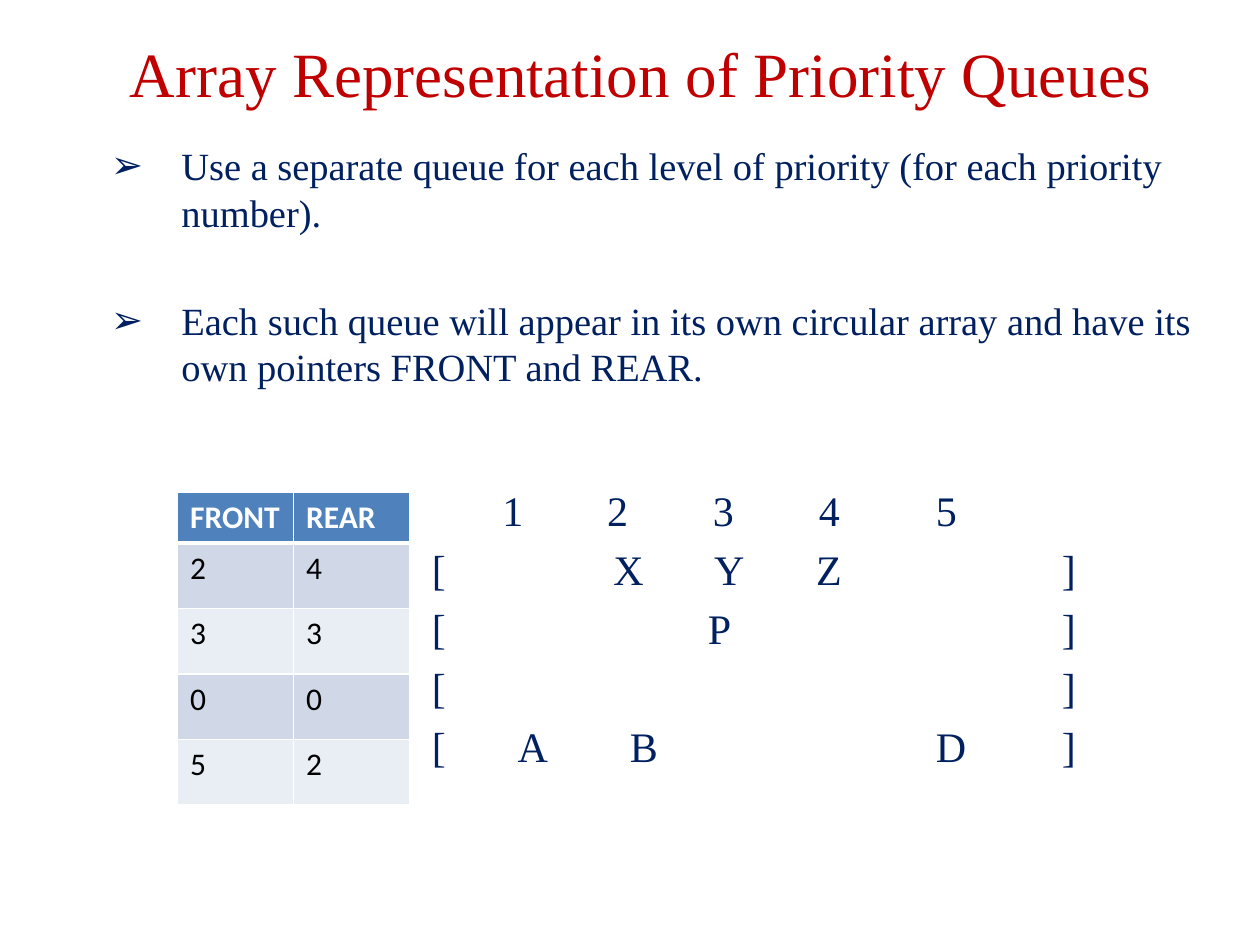
"""Build a slide on the array representation of priority queues."""
from lxml import etree
from pptx import Presentation
from pptx.dml.color import RGBColor
from pptx.enum.text import MSO_ANCHOR, MSO_AUTO_SIZE, PP_ALIGN
from pptx.oxml.ns import qn
from pptx.util import Inches, Pt

CENTER = PP_ALIGN.CENTER
MIDDLE = MSO_ANCHOR.MIDDLE
NO_AUTOFIT = MSO_AUTO_SIZE.NONE
RED = RGBColor(0xC0, 0x00, 0x00)
NAVY = RGBColor(0x00, 0x20, 0x60)
BLUE = RGBColor(0x4F, 0x81, 0xBD)
BAND_DARK = RGBColor(0xD0, 0xD8, 0xE8)
BAND_LIGHT = RGBColor(0xE9, 0xED, 0xF4)
WHITE = RGBColor(0xFF, 0xFF, 0xFF)
BLACK = RGBColor(0x00, 0x00, 0x00)
SERIF = "Times New Roman"

BULLETS = [
    "Use a separate queue for each level of priority (for each priority number).",
    "Each such queue will appear in its own circular array and have its own pointers FRONT and REAR.",
]
ARRAY_ROWS = [
    ("\t1\t2\t3\t4\t5", [0.56, 1.39, 2.23, 3.07, 4]),
    ("[\tX\tY\tZ\t]", [1.44, 2.24, 3.05, 5]),
    ("[\tP\t]", [2.19, 5]),
    ("[\t]", [5]),
    ("[\tA\tB\tD\t]", [0.68, 1.57, 4, 5]),
]
POINTERS = [("FRONT", "REAR"), ("2", "4"), ("3", "3"), ("0", "0"), ("5", "2")]


def place(shape, left, top, width, height):
    """Move and size a shape, in inches."""
    shape.left, shape.top = Inches(left), Inches(top)
    shape.width, shape.height = Inches(width), Inches(height)


def format_paragraph(paragraph, size, line_spacing, space_before):
    """Apply the body text font and spacing."""
    paragraph.line_spacing = Pt(line_spacing)
    paragraph.space_before = Pt(space_before)
    paragraph.font.name = SERIF
    paragraph.font.size = Pt(size)
    paragraph.font.color.rgb = NAVY


presentation = Presentation()
presentation.slide_width = Inches(10)
presentation.slide_height = Inches(7.5)
slide = presentation.slides.add_slide(presentation.slide_layouts[1])

title = slide.shapes.title
place(title, 0.67, 0, 8.83, 1.15)
title.text_frame.text = "Array Representation of Priority Queues"
title.text_frame.vertical_anchor = MIDDLE
title.text_frame.auto_size = NO_AUTOFIT
heading = title.text_frame.paragraphs[0]
heading.alignment = CENTER
heading.font.name = SERIF
heading.font.size = Pt(36)
heading.font.color.rgb = RED

body = slide.placeholders[1]
place(body, 0.34, 1.08, 9.42, 5.75)
frame = body.text_frame
frame.auto_size = NO_AUTOFIT

for index, text in enumerate(BULLETS):
    paragraph = frame.add_paragraph() if index else frame.paragraphs[0]
    paragraph.text = text
    properties = paragraph._p.get_or_add_pPr()
    properties.set("marL", str(Inches(1)))
    properties.set("indent", str(Inches(-0.56)))
    etree.SubElement(properties, qn("a:buFont"), typeface="Arial")
    etree.SubElement(properties, qn("a:buChar"), char="➢")
    format_paragraph(paragraph, 22, 26.4, 35.4 if index else 0)

arrays = slide.shapes.add_textbox(Inches(3.33), Inches(3.8), Inches(6.4), Inches(2.4))
arrays.text_frame.word_wrap = True
for index, (text, positions) in enumerate(ARRAY_ROWS):
    paragraph = arrays.text_frame.add_paragraph() if index else arrays.text_frame.paragraphs[0]
    paragraph.text = text
    tabs = etree.SubElement(paragraph._p.get_or_add_pPr(), qn("a:tabLst"))
    for position in positions:
        etree.SubElement(tabs, qn("a:tab"), pos=str(Inches(position)), algn="l")
    format_paragraph(paragraph, 24, 28.8, 4.8 if index else 0)

table = slide.shapes.add_table(
    len(POINTERS), 2, Inches(1.41), Inches(3.91), Inches(1.83), Inches(2.46)
).table
for column in table.columns:
    column.width = Inches(0.92)
for row_index, values in enumerate(POINTERS):
    is_header = row_index == 0
    table.rows[row_index].height = Inches(0.35 if is_header else 0.52)
    band = BAND_DARK if row_index % 2 else BAND_LIGHT
    for column_index, value in enumerate(values):
        cell = table.cell(row_index, column_index)
        cell.text = value
        cell.fill.solid()
        cell.fill.fore_color.rgb = BLUE if is_header else band
        font = cell.text_frame.paragraphs[0].font
        font.name = "Calibri"
        font.size = Pt(18)
        font.bold = is_header
        font.color.rgb = WHITE if is_header else BLACK
        if is_header:
            border = etree.Element(qn("a:lnB"), w=str(Pt(3)))
            border_fill = etree.SubElement(border, qn("a:solidFill"))
            etree.SubElement(border_fill, qn("a:srgbClr"), val=str(WHITE))
            cell._tc.get_or_add_tcPr().insert(0, border)

presentation.save("out.pptx")
